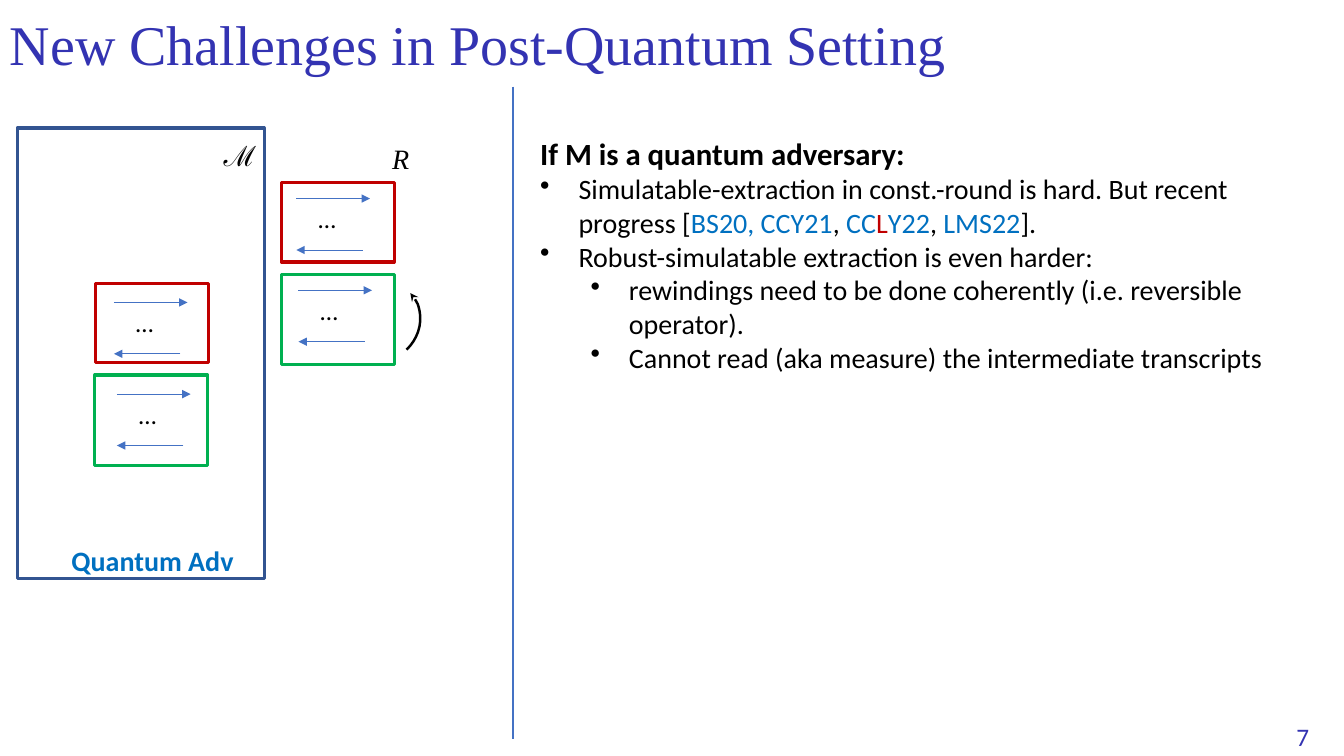
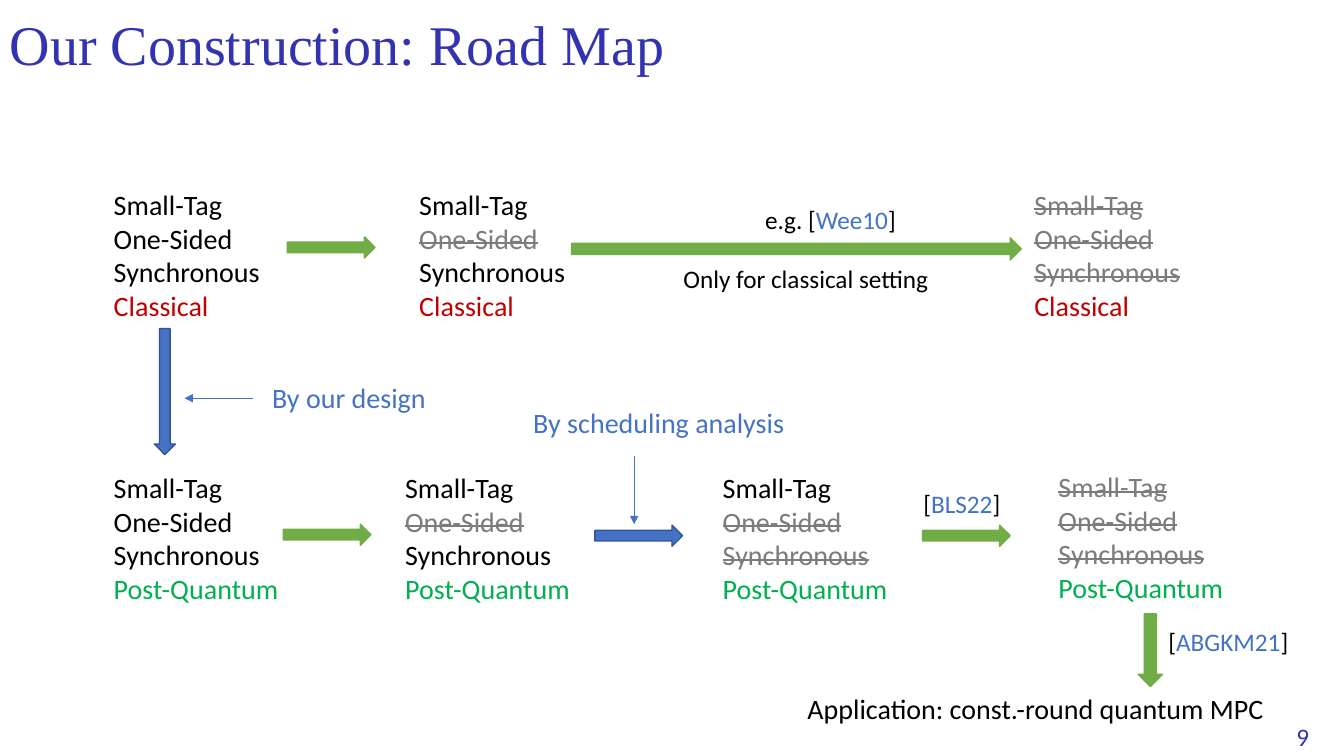
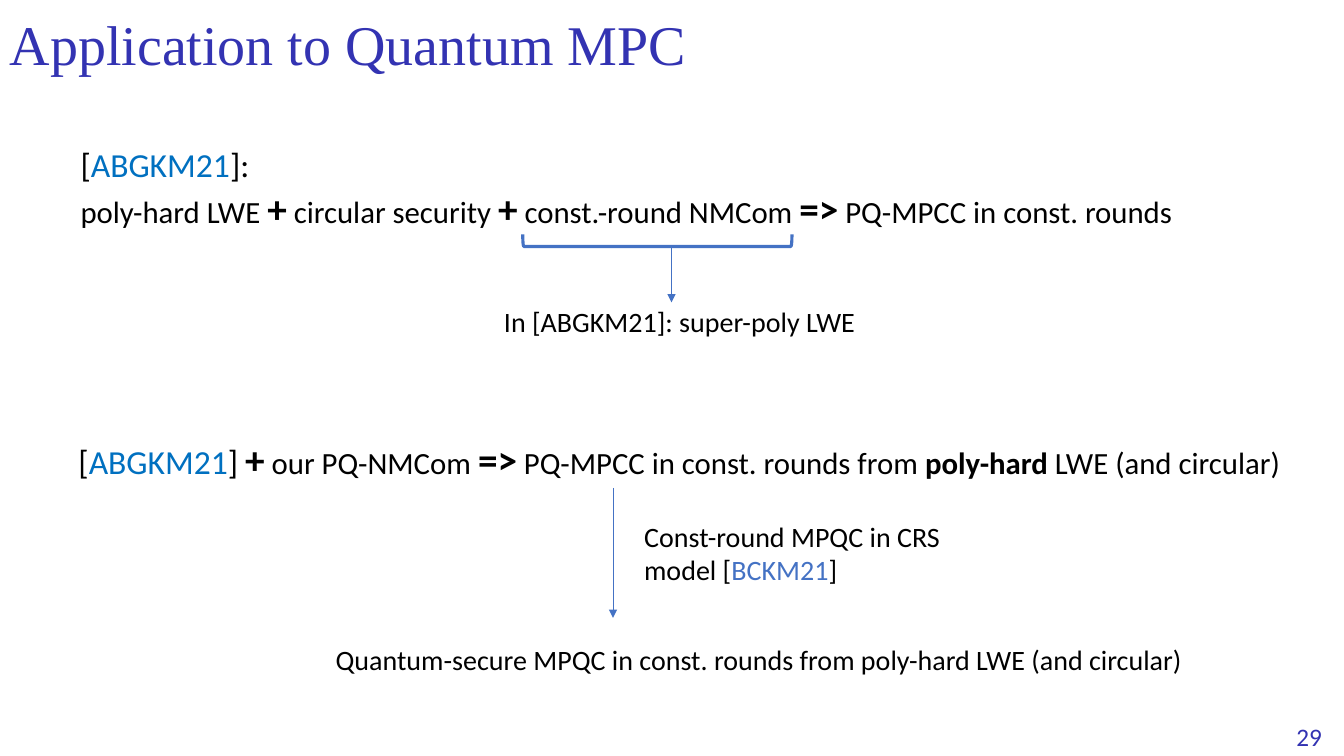
from pptx import Presentation
from pptx.dml.color import RGBColor
from pptx.enum.shapes import MSO_CONNECTOR, MSO_SHAPE
from pptx.enum.text import MSO_ANCHOR
from pptx.oxml.ns import qn
from pptx.util import Pt
from lxml.etree import SubElement

PX = 9144
BODY_FONT, TITLE_FONT = "Calibri", "Times New Roman"
C = {
    "title": "3333B2", "black": "000000", "blue": "4472C4", "navy": "325491",
    "cite": "0070C0", "red": "C00000", "green": "00B050", "leaf": "70AD47",
    "gray": "7C7C7C",
}


def cite(name, color="blue", **style):
    return [("[", style), (name, {"color": color, **style}), ("]", style)]


BIG, MID, BOLD = {"size": 28, "bold": True}, {"size": 22}, {"size": 22, "bold": True}

ADVERSARY = (17, 127, 245, 447)
EXCHANGES = [
    ("red", (95, 281, 112, 79), (113, 300)),
    ("green", (94, 372, 112, 90), (116, 391)),
    ("red", (279, 181, 112, 79), (294, 197)),
    ("green", (279, 272, 112, 90), (296, 288)),
]
CHALLENGES = [
    (None, [("If M is a quantum adversary:", BOLD)]),
    (0, [("Simulatable-extraction in const.-round is hard. But recent progress [", {}),
         ("BS20, CCY21", {"color": "cite"}), (", ", {}),
         ("CC", {"color": "cite"}), ("L", {"color": "red"}),
         ("Y22", {"color": "cite"}), (", ", {}),
         ("LMS22", {"color": "cite"}), ("].", {})]),
    (0, [("Robust-simulatable extraction is even harder:", {})]),
    (1, [("rewindings need to be done coherently (i.e. reversible operator).", {})]),
    (1, [("Cannot read (aka measure) the intermediate transcripts", {})]),
]

PROPERTIES = ["Small-Tag", "One-Sided", "Synchronous"]
CLASSICAL, QUANTUM = ("Classical", "red"), ("Post-Quantum", "green")
STAGES = [
    (103, 181, CLASSICAL, []),
    (406, 181, CLASSICAL, [1]),
    (1016, 181, CLASSICAL, [0, 1, 2]),
    (103, 462, QUANTUM, []),
    (392, 462, QUANTUM, [1]),
    (707, 462, QUANTUM, [1, 2]),
    (1040, 461, QUANTUM, [0, 1, 2]),
]
RIGHT, DOWN = MSO_SHAPE.RIGHT_ARROW, MSO_SHAPE.DOWN_ARROW
KNOWN, OURS = ("leaf", "leaf"), ("blue", "navy")
STEPS = [
    (RIGHT, (285, 235, 87, 21), KNOWN),
    (RIGHT, (567, 236, 446, 22), KNOWN),
    (RIGHT, (281, 520, 87, 21), KNOWN),
    (RIGHT, (590, 521, 87, 21), OURS),
    (RIGHT, (915, 521, 87, 21), KNOWN),
    (DOWN, (153, 326, 21, 125), OURS),
    (DOWN, (1129, 609, 24, 72), KNOWN),
]
ROADMAP_NOTES = [
    ((749, 198, 157, 40), 18, [("e.g. ", {})] + cite("Wee10")),
    ((668, 256, 290, 40), 18, [("Only for classical setting", {})]),
    ((906, 480, 110, 40), 18, cite("BLS22")),
    ((1149, 616, 144, 40), 18, cite("ABGKM21")),
    ((791, 681, 538, 44), 20, [("Application: const.-round quantum MPC", {})]),
    ((260, 373, 180, 44), 20, [("By our design", {"color": "blue"})]),
    ((519, 397, 298, 44), 20, [("By scheduling analysis", {"color": "blue"})]),
]
ROADMAP_POINTERS = [(251, 395, 183, 395), (629, 452, 629, 520)]

MPC_TEXTS = [
    ((70, 138, 1119, 98), 24, [
        cite("ABGKM21", "cite") + [(":", {})],
        [("poly-hard LWE ", MID), ("+", BIG), (" circular security ", MID), ("+", BIG),
         (" const.-round NMCom ", MID), ("=>", BIG), (" PQ-MPCC in const. rounds", MID)],
    ]),
    ((490, 297, 378, 44), 20, [[("In [ABGKM21]: super-poly LWE", {})]]),
    ((68, 427, 1234, 57), 24, [
        cite("ABGKM21", "cite") + [
            (" ", MID), ("+", BIG), (" our PQ-NMCom ", MID), ("=>", BIG),
            (" PQ-MPCC in const. rounds from ", MID), ("poly-hard", BOLD),
            (" LWE (and circular)", MID)],
    ]),
    ((629, 510, 378, 77), 20, [[("Const-round MPQC in CRS model ", {})] + cite("BCKM21")]),
    ((323, 633, 866, 44), 20,
     [[("Quantum-secure MPQC in const. rounds from poly-hard LWE (and circular)", {})]]),
]
MPC_POINTERS = [(666, 245, 666, 300), (608, 484, 608, 613)]


def emu(*lengths):
    return [n * PX for n in lengths]


def rgb(name):
    return RGBColor.from_string(C[name])


def add_run(p, text, size=20, color="black", bold=False, italic=False,
            strike=False, font=BODY_FONT):
    r = p.add_run()
    r.text = text
    r.font.name, r.font.size = font, Pt(size)
    r.font.bold, r.font.italic = bold, italic
    r.font.color.rgb = rgb(color)
    if strike:
        r._r.get_or_add_rPr().set("strike", "sngStrike")


def add_bullet(p, level):
    p.level = level
    pPr = p._p.get_or_add_pPr()
    pPr.set("marL", str((38 + 50 * level) * PX))
    pPr.set("indent", str(-38 * PX))
    SubElement(pPr, qn("a:buChar")).set("char", "•")


def add_text(s, box, paragraphs, size=20, levels=None):
    tf = s.shapes.add_textbox(*emu(*box)).text_frame
    tf.word_wrap = True
    for i, runs in enumerate(paragraphs):
        p = tf.paragraphs[0] if i == 0 else tf.add_paragraph()
        if levels and levels[i] is not None:
            add_bullet(p, levels[i])
        for text, style in runs:
            add_run(p, text, **{"size": size, **style})
    return tf


def add_shape(s, kind, box, line, width, fill=None):
    sp = s.shapes.add_shape(kind, *emu(*box))
    sp.shadow.inherit = False
    if fill:
        sp.fill.solid()
        sp.fill.fore_color.rgb = rgb(fill)
    else:
        sp.fill.background()
    sp.line.color.rgb = rgb(line)
    sp.line.width = Pt(width)
    return sp


def add_head(sp, end, kind):
    SubElement(sp.line._get_or_add_ln(), qn(f"a:{end}")).set("type", kind)


def add_line(s, ends, width=0.5, arrow=True):
    cx = s.shapes.add_connector(MSO_CONNECTOR.STRAIGHT, *emu(*ends))
    cx.line.color.rgb = rgb("blue")
    cx.line.width = Pt(width)
    if arrow:
        add_head(cx, "tailEnd", "triangle")
    SubElement(cx._element.spPr, qn("a:effectLst"))


def add_slide(prs, title, number):
    s = prs.slides.add_slide(prs.slide_layouts[6])
    add_text(s, (1276, 711, 57, 40), [[(number, {"size": 18, "color": "title"})]])
    tf = add_text(s, (0, 0, 1150, 94),
                  [[(title, {"size": 40, "color": "title", "font": TITLE_FONT})]])
    tf.vertical_anchor = MSO_ANCHOR.MIDDLE
    tf.paragraphs[0].line_spacing = 0.9
    return s


def challenges(prs):
    s = add_slide(prs, "New Challenges in Post-Quantum Setting", "7")
    add_shape(s, MSO_SHAPE.RECTANGLE, ADVERSARY, "navy", 2.25)
    add_text(s, (212, 132, 52, 40), [[("ℳ", {"font": TITLE_FONT})]])
    add_text(s, (379, 135, 45, 40), [[("R", {"font": TITLE_FONT, "italic": True})]])
    for color, frame, (x, y) in EXCHANGES:
        add_shape(s, MSO_SHAPE.RECTANGLE, frame, color, 2.25)
        add_line(s, (x, y, x + 73, y))
        add_line(s, (x + 66, y + 51, x, y + 51))
        add_text(s, (x + 12, y, 46, 40), [[("…", {})]], 18)
    rewind = add_shape(s, MSO_SHAPE.ARC, (339, 278, 76, 83), "black", 1.75)
    rewind.rotation = 46.3
    add_head(rewind, "headEnd", "stealth")
    add_line(s, (509, 86, 509, 733), 1.5, arrow=False)
    levels, paragraphs = zip(*CHALLENGES)
    add_text(s, (526, 129, 784, 249), paragraphs, levels=levels)
    add_text(s, (61, 534, 192, 44), [[("Quantum Adv", {"color": "cite", "bold": True})]])


def roadmap(prs):
    s = add_slide(prs, "Our Construction: Road Map", "9")
    for x, y, (setting, color), struck in STAGES:
        paragraphs = [[(name, {"color": "gray", "strike": True} if i in struck else {})]
                      for i, name in enumerate(PROPERTIES)]
        add_text(s, (x, y, 224, 145), paragraphs + [[(setting, {"color": color})]])
    for kind, box, (fill, line) in STEPS:
        add_shape(s, kind, box, line, 1, fill)
    for box, size, runs in ROADMAP_NOTES:
        add_text(s, box, [runs], size)
    for ends in ROADMAP_POINTERS:
        add_line(s, ends)


def application(prs):
    s = add_slide(prs, "Application to Quantum MPC", "29")
    for box, size, paragraphs in MPC_TEXTS:
        add_text(s, box, paragraphs, size)
    add_shape(s, MSO_SHAPE.LEFT_BRACKET, (646, 105, 12, 267), "blue", 2.25).rotation = 270
    for ends in MPC_POINTERS:
        add_line(s, ends)


def main():
    prs = Presentation()
    prs.slide_width, prs.slide_height = emu(1333, 750)
    for build in (challenges, roadmap, application):
        build(prs)
    prs.save("out.pptx")


if __name__ == "__main__":
    main()
